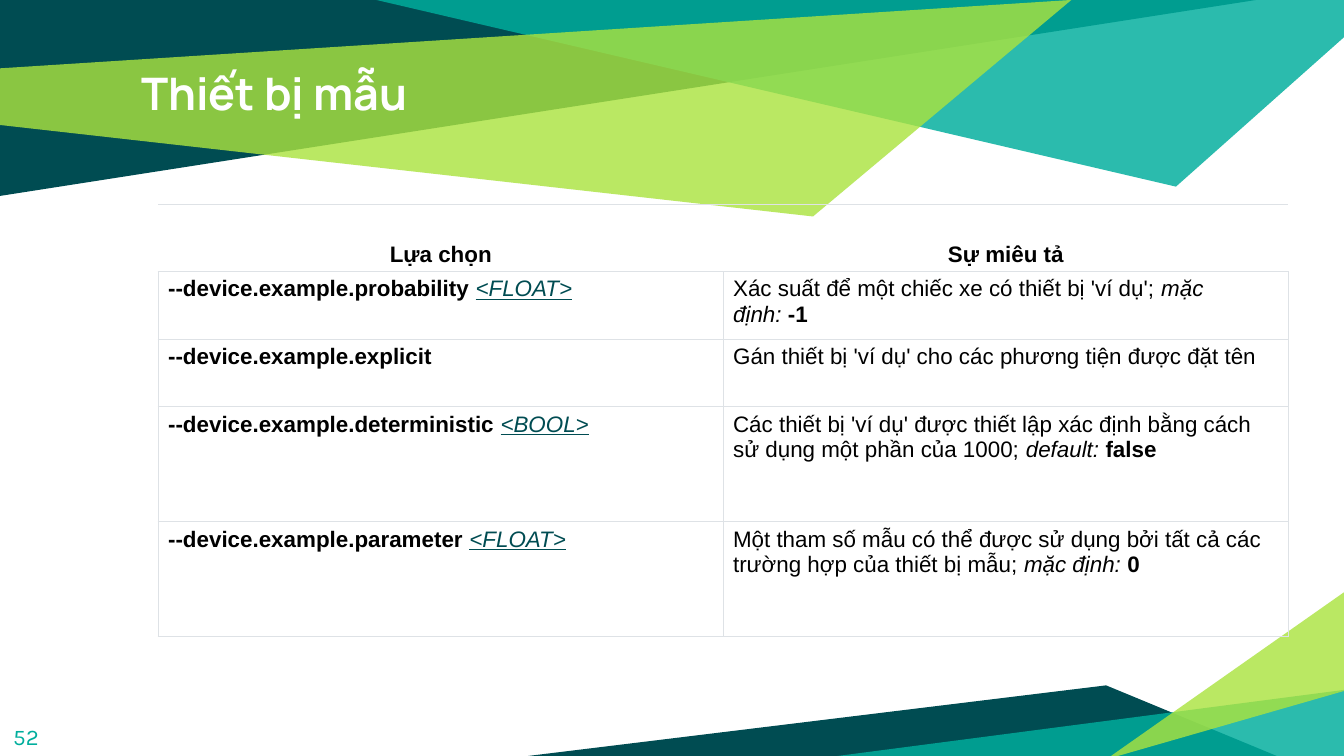
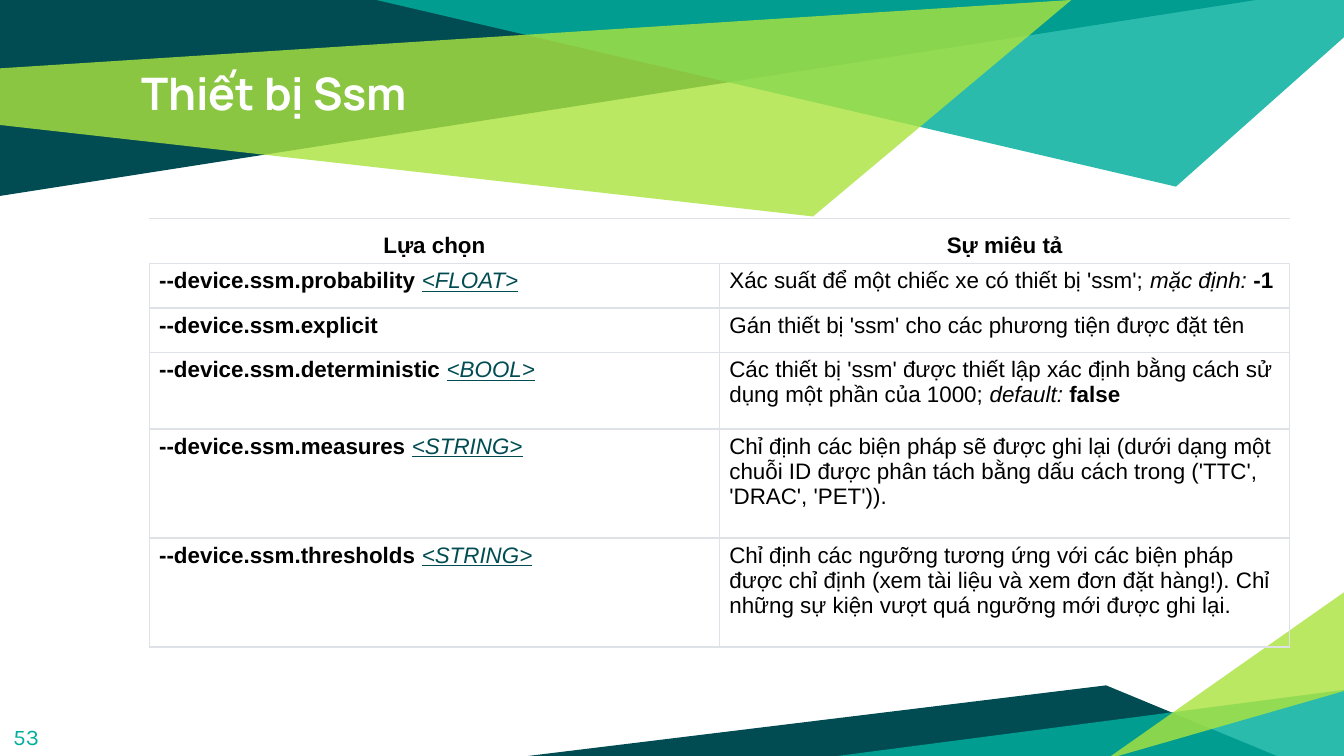
from lxml import etree
from pptx import Presentation
from pptx.dml.color import RGBColor
from pptx.enum.text import MSO_ANCHOR, MSO_AUTO_SIZE, PP_ALIGN
from pptx.oxml.ns import qn
from pptx.util import Pt

TOP, BOTTOM = MSO_ANCHOR.TOP, MSO_ANCHOR.BOTTOM
LEFT, CENTER = PP_ALIGN.LEFT, PP_ALIGN.CENTER
NO_FIT = MSO_AUTO_SIZE.NONE

DARK = RGBColor(0x00, 0x4C, 0x52)
TEAL = RGBColor(0x00, 0xAE, 0x9D)
LIME = RGBColor(0xAB, 0xE3, 0x3F)
WHITE = RGBColor(0xFF, 0xFF, 0xFF)
BLACK = RGBColor(0x00, 0x00, 0x00)
GRID = RGBColor(0xDE, 0xE2, 0xE6)

PLAIN = "{2D5ABB26-0587-4C30-8999-92F81FD0307C}"  # table style without grid
GAP = chr(160)  # no-break space between runs

# Bands: colour, opacity in percent, corners
BANDS = [
    (DARK, 100, [(0, 0), (0, 105), (673, 0)]),
    (TEAL, 83, [(201.6, 0), (630, 100), (720, 20), (720, 0)]),
    (LIME, 81, [(-0.7, 36.7), (0, 67), (435.6, 116), (574, 0)]),
    (DARK, 100, [(283, 405), (684, 405), (592.6, 367.2)]),
    (TEAL, 83, [(721.4, 369.4), (721.4, 406.8), (434.9, 406.8)]),
    (LIME, 81, [(720.7, 370), (720.7, 316.8), (592.6, 406.8)]),
]


class Deck:
    def __init__(self):
        self.prs = Presentation()
        self.prs.slide_width, self.prs.slide_height = Pt(720), Pt(405)
        self.layout = self.prs.slide_layouts[5]
        self.slide = None

    def new(self, title, page):
        first = self.slide is None
        self.slide = self.prs.slides.add_slide(self.layout)
        if first:
            for order, band in enumerate(BANDS):
                self.band(order, *band)
        self.title(title)
        self.page(page)

    def band(self, order, color, alpha, points):
        """Draw a band and move it to the layout, behind everything."""
        spots = [(Pt(x), Pt(y)) for x, y in points]
        build = self.slide.shapes.build_freeform(*spots[0])
        build.add_line_segments(spots[1:], close=True)
        shape = build.convert_to_shape()
        shape.shadow.inherit = False
        shape.line.fill.background()
        shape.fill.solid()
        shape.fill.fore_color.rgb = color
        if alpha < 100:
            tint = shape.element.find(".//" + qn("a:srgbClr"))
            etree.SubElement(tint, qn("a:alpha"), val=str(alpha * 1000))
        shape.element.nvSpPr.cNvPr.set("id", str(20 + order))
        self.layout.shapes.element.insert(2 + order, shape.element)

    def font(self, para, name, size, color, bold=False):
        font = para.font
        font.name, font.size, font.bold = name, Pt(size), bold
        font.color.rgb = color

    def frame(self, shape, text):
        """Fill a text shape and return its paragraph."""
        frame = shape.text_frame
        frame.margin_left = frame.margin_right = Pt(7.2)
        frame.margin_top = frame.margin_bottom = Pt(7.2)
        frame.word_wrap = True
        frame.auto_size = NO_FIT
        frame.vertical_anchor = TOP
        frame.text = text
        para = frame.paragraphs[0]
        para.alignment = LEFT
        return para

    def title(self, text):
        shape = self.slide.shapes.title
        shape.left, shape.top = Pt(68.4), Pt(28)
        shape.width, shape.height = Pt(580), Pt(67.7)
        self.font(self.frame(shape, text), "Manrope", 24, WHITE, True)

    def page(self, number):
        shape = self.slide.shapes.add_textbox(0, Pt(380.2), Pt(43.2), Pt(31))
        self.font(self.frame(shape, str(number)), "Karla", 12, TEAL)

    def table(self, left, top, width, heights, rows):
        shape = self.slide.shapes.add_table(
            len(rows), 2, Pt(left), Pt(top), Pt(width), Pt(sum(heights)))
        table = shape.table
        shape.element.find(".//" + qn("a:tableStyleId")).text = PLAIN
        table.horz_banding = False
        for col in table.columns:
            col.width = Pt(width / 2)
        for r, (height, row) in enumerate(zip(heights, rows)):
            table.rows[r].height = Pt(height)
            for c, runs in enumerate(row):
                self.cell(table.cell(r, c), runs, head=r == 0)

    def cell(self, cell, runs, head):
        cell.margin_left = cell.margin_right = Pt(5.25)
        cell.margin_top = cell.margin_bottom = Pt(2.63)
        cell.vertical_anchor = BOTTOM if head else TOP
        para = cell.text_frame.paragraphs[0]
        para.alignment = CENTER if head else LEFT
        self.font(para, "Arial", 12, BLACK)
        for n, (text, mark) in enumerate(runs):
            run = para.add_run()
            run.text = text + GAP if n < len(runs) - 1 else text
            run.font.bold = mark == "bold"
            run.font.italic = mark in ("italic", "type")
            if mark == "type":
                run.font.underline = True
                run.font.color.rgb = DARK
        self.edges(cell, "TB" if head else "LRTB")
        cell.fill.background()

    def edges(self, cell, sides):
        props = cell._tc.get_or_add_tcPr()
        for side in sides:
            line = etree.SubElement(props, qn("a:ln" + side), w=str(Pt(0.75)))
            fill = etree.SubElement(line, qn("a:solidFill"))
            etree.SubElement(fill, qn("a:srgbClr"), val=str(GRID))


# Rows: each cell is a list of (text, mark) runs
def entry(name, kind, text, label="", value=""):
    option = [("--device." + name, "bold")]
    if kind:
        option.append((f"<{kind}>", "type"))
    about = [(text, "")]
    if label:
        about += [(label, "italic"), (value, "bold")]
    return option, about


def common(name, label):
    """Header and the three options every device has."""
    return [
        ([("Lựa chọn", "bold")], [("Sự miêu tả", "bold")]),
        entry(name + ".probability", "FLOAT",
              f"Xác suất để một chiếc xe có thiết bị '{label}';",
              "mặc định:", "-1"),
        entry(name + ".explicit", "",
              f"Gán thiết bị '{label}' cho các phương tiện được đặt tên"),
        entry(name + ".deterministic", "BOOL",
              f"Các thiết bị '{label}' được thiết lập xác định bằng cách "
              "sử dụng một phần của 1000;", "default:", "false"),
    ]


def main():
    deck = Deck()

    # Example device
    deck.new("Thiết bị mẫu", 52)
    deck.table(84.8, 109.4, 605.4, [36.2] * 3 + [61.6] * 2,
               common("example", "ví dụ") + [
        entry("example.parameter", "FLOAT",
              "Một tham số mẫu có thể được sử dụng bởi tất cả các "
              "trường hợp của thiết bị mẫu;", "mặc định:", "0"),
    ])

    # SSM device
    deck.new("Thiết bị Ssm", 53)
    deck.table(80, 117.2, 611, [23.9] * 3 + [40.9] + [58.4] * 2,
               common("ssm", "ssm") + [
        entry("ssm.measures", "STRING",
              "Chỉ định các biện pháp sẽ được ghi lại (dưới dạng một chuỗi "
              "ID được phân tách bằng dấu cách trong "
              "('TTC', 'DRAC', 'PET'))."),
        entry("ssm.thresholds", "STRING",
              "Chỉ định các ngưỡng tương ứng với các biện pháp được chỉ định "
              "(xem tài liệu và xem đơn đặt hàng!)." + GAP +
              "Chỉ những sự kiện vượt quá ngưỡng mới được ghi lại."),
    ])

    deck.prs.save("out.pptx")


if __name__ == "__main__":
    main()
